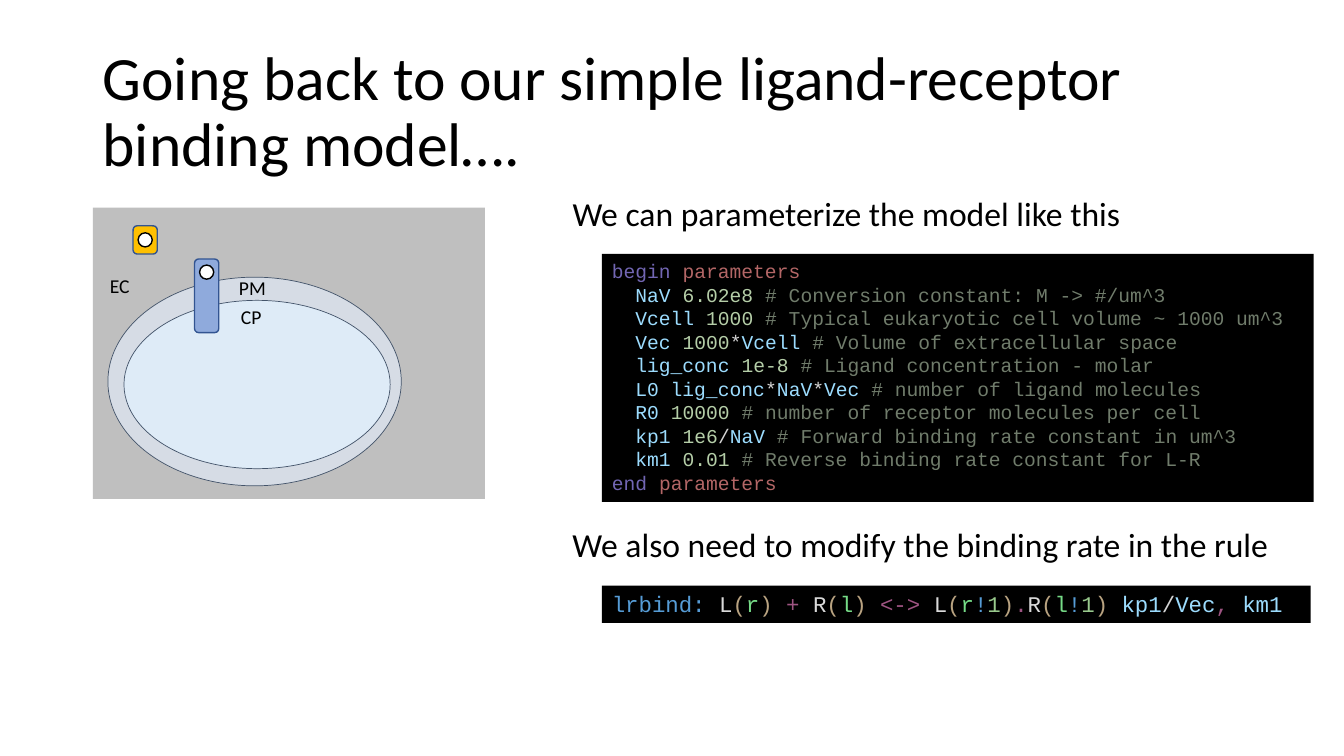
from pptx import Presentation
from pptx import util as u
from pptx.dml.color import RGBColor
from pptx.enum import shapes as kinds, text as t
from pptx.oxml.ns import qn

PX = u.Inches(1) // 100
BODY, CODE = "Calibri", "Courier New"
RECT, ROUND, OVAL = (kinds.MSO_SHAPE.RECTANGLE, kinds.MSO_SHAPE.ROUNDED_RECTANGLE,
                     kinds.MSO_SHAPE.OVAL)
INK = {
    "block": "7266B3", "section": "B36666", "name": "9CDCFE", "number": "B5CEA8",
    "operator": "D4D4D4", "comment": "707C6B", "label": "569CD6", "molecule": "DADADA",
    "bracket": "B9A381", "site": "76DB87", "arrow": "9E5482", "bond": "99CA8D",
}
PARAMETERS = [
    ("NaV", "6.02e8", "Conversion constant: M -> #/um^3"),
    ("Vcell", "1000", "Typical eukaryotic cell volume ~ 1000 um^3"),
    ("Vec", "1000*Vcell", "Volume of extracellular space"),
    ("lig_conc", "1e-8", "Ligand concentration - molar"),
    ("L0", "lig_conc*NaV*Vec", "number of ligand molecules"),
    ("R0", "10000", "number of receptor molecules per cell"),
    ("kp1", "1e6/NaV", "Forward binding rate constant in um^3"),
    ("km1", "0.01", "Reverse binding rate constant for L-R"),
]


def color(value):
    return RGBColor.from_string(value)


def px(*lengths):
    return [length * PX for length in lengths]


def add_run(para, words, size, font, ink):
    span = para.add_run()
    span.text = words
    span.font.size = u.Pt(size)
    span.font.name = font
    span.font.color.rgb = color(ink)


def add_text(shapes, box, words, size, inset=True):
    """One line of body text that does not wrap."""
    frame = shapes.add_textbox(*px(*box)).text_frame
    frame.word_wrap = False
    frame.auto_size = t.MSO_AUTO_SIZE.SHAPE_TO_FIT_TEXT
    if not inset:
        frame.margin_left = frame.margin_right = frame.margin_top = frame.margin_bottom = 0
    add_run(frame.paragraphs[0], words, size, BODY, "000000")
    return frame


def add_figure(shapes, kind, box, fill, line=None, weight=1):
    figure = shapes.add_shape(kind, *px(*box))
    figure.shadow.inherit = False
    figure.fill.solid()
    figure.fill.fore_color.rgb = color(fill)
    if line:
        figure.line.color.rgb = color(line)
        figure.line.width = u.Pt(weight)
    else:
        figure.line.fill.background()
    return figure


# Title
def add_title(page, box):
    frame = add_text(page.shapes, box, "Going back to our simple ligand-receptor binding model….", 44)
    frame.word_wrap = True
    frame.auto_size = t.MSO_AUTO_SIZE.NONE
    frame.vertical_anchor = t.MSO_ANCHOR.MIDDLE
    frame.paragraphs[0].line_spacing = 0.9


# Cell diagram: space outside, membrane, inside, receptor and ligand
def add_protein(shapes, box, fill, site_top):
    left, top, width, height = box
    protein = shapes.add_group_shape().shapes
    add_figure(protein, ROUND, box, fill, "325491")
    add_figure(protein, OVAL, (left + 5, top + site_top, 14, 14), "FFFFFF", "000000")


def add_cell(page, box):
    left, top, width, height = box
    cell = page.shapes.add_group_shape().shapes
    add_figure(cell, RECT, box, "BFBFBF")
    add_text(cell, (left + 17, top + 66, 23, 32), "EC", 14, inset=False)
    add_figure(cell, OVAL, (left + 15, top + 69, 291, 207), "D6DCE5", "44546A", 0.5)
    add_figure(cell, OVAL, (left + 31, top + 92, 264, 167), "DEEBF7", "44546A", 0.5)
    add_text(cell, (left + 145, top + 68, 34, 31), "PM", 14, inset=False)
    add_text(cell, (left + 147, top + 96, 26, 31), "CP", 14, inset=False)
    add_protein(cell, (left + 101, top + 51, 24, 73), "8FAADC", 6)
    add_protein(cell, (left + 40, top + 18, 24, 28), "FFC000", 7)


# Code listings
def parameter_line(name, formula, comment):
    """Colour the parts of one parameter definition."""
    runs = [("name", f"  {name} ")]
    for part in formula.replace("*", " * ").replace("/", " / ").split():
        role = "operator" if part in "*/" else "number" if part[0].isdigit() else "name"
        runs.append((role, part))
    role, last = runs.pop()
    return runs + [(role, last + " "), ("comment", "# " + comment)]


def molecule(name, site, bond="", close=") "):
    link = [("label", "!"), ("bond", bond)] if bond else []
    return [("molecule", name), ("bracket", "("), ("site", site), *link, ("bracket", close)]


def add_code(page, box, lines, size):
    panel = add_figure(page.shapes, RECT, box, "000000")
    frame = panel.text_frame
    frame.word_wrap = True
    frame.auto_size = t.MSO_AUTO_SIZE.SHAPE_TO_FIT_TEXT
    frame.vertical_anchor = t.MSO_ANCHOR.TOP
    for index, line in enumerate(lines):
        para = frame.add_paragraph() if index else frame.paragraphs[0]
        para.alignment = t.PP_ALIGN.LEFT
        para.line_spacing = u.Pt(size * 1.2)
        for role, words in line:
            add_run(para, words, size, CODE, INK[role])


# Right column: a sentence above each listing
def add_column(page, box):
    left, top, width, height = box
    block = [[("block", word), ("section", "parameters")] for word in ("begin ", "end ")]
    listing = [block[0], *(parameter_line(*row) for row in PARAMETERS), block[1]]
    rule = [
        ("label", "lrbind: "), *molecule("L", "r"), ("arrow", "+ "), *molecule("R", "l"),
        ("arrow", "<-> "), *molecule("L", "r", "1", ")"), ("arrow", "."),
        *molecule("R", "l", "1"), ("name", "kp1"), ("operator", "/"), ("name", "Vec"),
        ("arrow", ", "), ("name", "km1"),
    ]
    add_text(page.shapes, (left, top, 569, 50), "We can parameterize the model like this", 24)
    add_code(page, (left + 39, top + 66, width - 39, 246), listing, 14)
    add_text(page.shapes, (left, top + 329, 717, 50),
             "We also need to modify the binding rate in the rule", 24)
    add_code(page, (left + 39, top + 395, width - 42, 37), [rule], 16)


def main():
    deck = Presentation()
    deck.slide_width, deck.slide_height = px(1333, 750)
    page = deck.slides.add_slide(deck.slide_layouts[6])
    add_title(page, (92, 40, 1150, 145))
    add_cell(page, (92, 206, 389, 289))
    add_column(page, (558, 186, 745, 432))
    deck.save("out.pptx")


if __name__ == "__main__":
    main()
